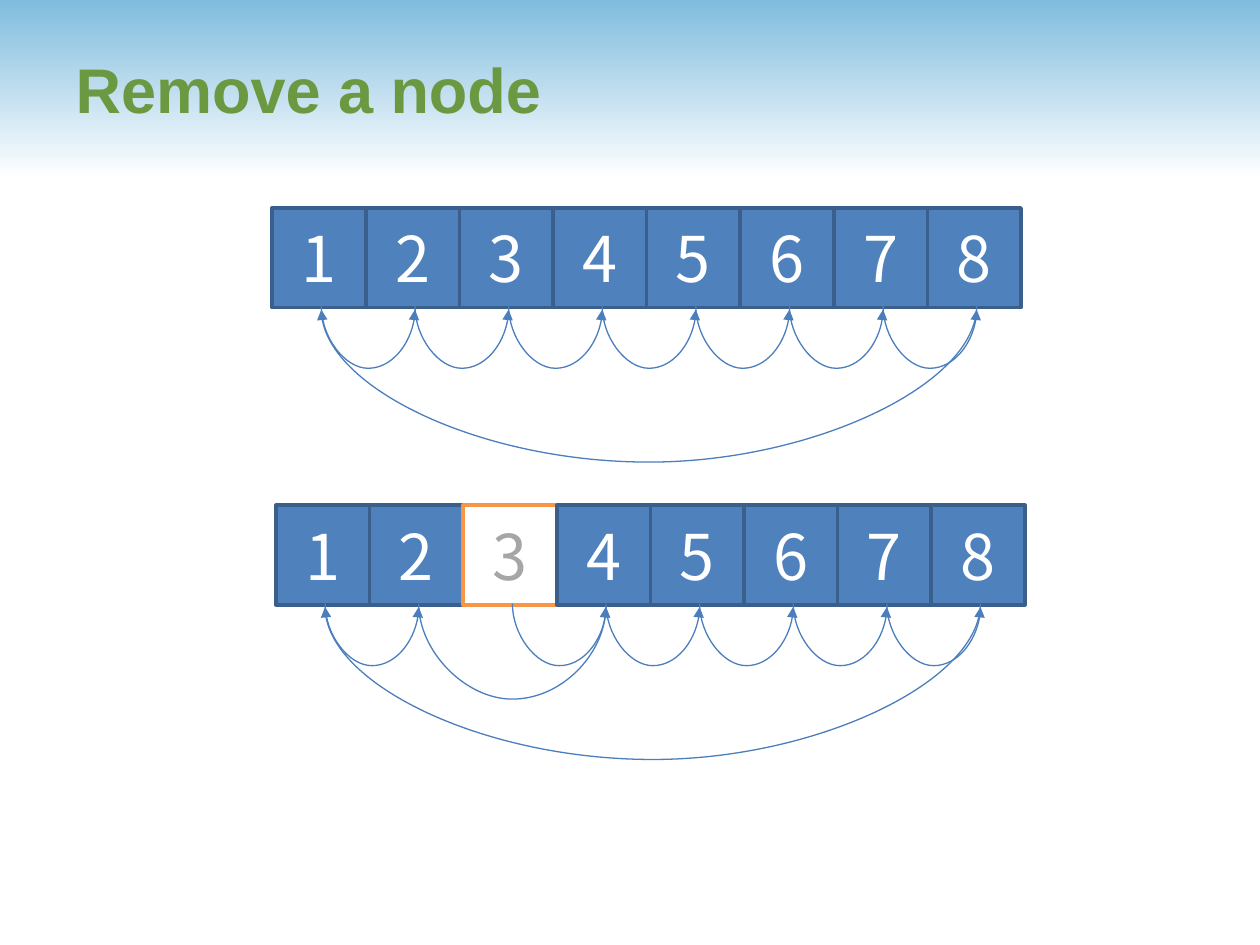
from pptx import Presentation
from pptx import util as u
from pptx.dml.color import RGBColor
from pptx.enum import shapes, text
from pptx.oxml import parse_xml
from pptx.oxml.ns import nsdecls, qn

SKY = RGBColor(0x80, 0xBC, 0xDE)
WHITE = RGBColor(0xFF, 0xFF, 0xFF)
GREEN = RGBColor(0x6B, 0x99, 0x41)
BLUE = RGBColor(0x4F, 0x81, 0xBD)
NAVY = RGBColor(0x3A, 0x5F, 0x8C)
ORANGE = RGBColor(0xF7, 0x96, 0x46)
GREY = RGBColor(0xA6, 0xA6, 0xA6)
LINK = RGBColor(0x4B, 0x7E, 0xBC)

COLUMNS, ROWS = 100, 75
PITCH, CELL_HEIGHT = 7.43, 7.9
NODES = 8
DROP = 0.27
SHORT, MEDIUM, LONG = 4.9, 7.54, 12.3


class ListSlide:
    """Draws linked lists on a slide measured as a 100 by 75 grid."""

    def __init__(self, deck):
        self.page = deck.slides.add_slide(deck.slide_layouts[5])
        self.column = deck.slide_width / COLUMNS
        self.row = deck.slide_height / ROWS

    def place(self, left, top, width, height):
        return (u.Emu(round(left * self.column)), u.Emu(round(top * self.row)),
                u.Emu(round(width * self.column)), u.Emu(round(height * self.row)))

    def add_words(self, para, words, font, colour, bold=False):
        span = para.add_run()
        span.text = words
        span.font.name, span.font.size = font, u.Pt(36)
        span.font.bold, span.font.color.rgb = bold, colour

    def band(self, height):
        box = self.page.shapes.add_shape(
            shapes.MSO_SHAPE.RECTANGLE, *self.place(0, 0, COLUMNS, height))
        box.shadow.inherit = False
        box.line.fill.background()
        box.fill.gradient()
        box.fill.gradient_angle = 270
        for stop, colour, position in zip(box.fill.gradient_stops, (SKY, WHITE), (0, 1)):
            stop.color.rgb, stop.position = colour, position
        self.page.shapes._spTree.insert(2, box._element)

    def title(self, words, *area):
        box = self.page.shapes.title
        box.left, box.top, box.width, box.height = self.place(*area)
        frame = box.text_frame
        frame.auto_size = text.MSO_AUTO_SIZE.NONE
        frame.vertical_anchor = text.MSO_ANCHOR.MIDDLE
        para = frame.paragraphs[0]
        para.alignment = text.PP_ALIGN.LEFT
        self.add_words(para, words, "Arial", GREEN, bold=True)

    def node(self, label, left, top, removed=False):
        box = self.page.shapes.add_shape(
            shapes.MSO_SHAPE.RECTANGLE, *self.place(left, top, PITCH, CELL_HEIGHT))
        box.shadow.inherit = False
        box.fill.solid()
        box.fill.fore_color.rgb = WHITE if removed else BLUE
        box.line.color.rgb = ORANGE if removed else NAVY
        box.line.width = u.Pt(2)
        frame = box.text_frame
        frame.margin_top = frame.margin_bottom = 0
        frame.vertical_anchor = text.MSO_ANCHOR.MIDDLE
        para = frame.paragraphs[0]
        para.alignment = text.PP_ALIGN.CENTER
        self.add_words(para, label, "Noto Sans CJK TC", GREY if removed else WHITE)

    def loop(self, start, end, top, depth):
        forward = start < end
        reach = abs(end - start)
        left, upper, width, height = self.place(
            (start + end - DROP) / 2, top + (DROP - reach) / 2, DROP, reach)
        near, far = (left + width, left) if forward else (left, left + width)
        link = self.page.shapes.add_connector(
            shapes.MSO_CONNECTOR.CURVE, near, upper, far, upper + height)
        link.line.color.rgb, link.line.width = LINK, u.Pt(0.75)
        properties = link._element.spPr
        properties.find(qn("a:xfrm")).set("rot", str((270 if forward else 90) * 60000))
        bend = round(depth / DROP * 100000)
        properties.find(qn("a:prstGeom")).get_or_add_avLst().append(parse_xml(
            f'<a:gd {nsdecls("a")} name="adj1" fmla="val {bend}"/>'))
        link.line._get_or_add_ln().append(parse_xml(
            f'<a:tailEnd {nsdecls("a")} type="triangle"/>'))
        properties.append(parse_xml(f'<a:effectLst {nsdecls("a")}/>'))

    def linked_list(self, left, top, links, removed=None):
        for index in range(NODES):
            self.node(str(index + 1), left + index * PITCH, top, index + 1 == removed)
        for start, end, depth in links:
            first, last = (left + 3.9 + (number - 1) * PITCH for number in (start, end))
            self.loop(first, last, top + 7.8, depth)


def main():
    deck = Presentation()
    deck.slide_width, deck.slide_height = u.Inches(10), u.Inches(7.5)
    slide = ListSlide(deck)
    slide.band(14.2)
    slide.title("Remove a node", 5, 0.8, 90.8, 12.5)
    chain = [(number, number + 1, SHORT) for number in range(1, NODES)]
    chain.append((NODES, 1, LONG))
    bypass = [(2, 4, MEDIUM) if link[0] == 2 else link for link in chain]
    slide.linked_list(21.6, 16.5, chain)
    slide.linked_list(21.9, 40.1, bypass, removed=3)
    deck.save("out.pptx")


if __name__ == "__main__":
    main()
